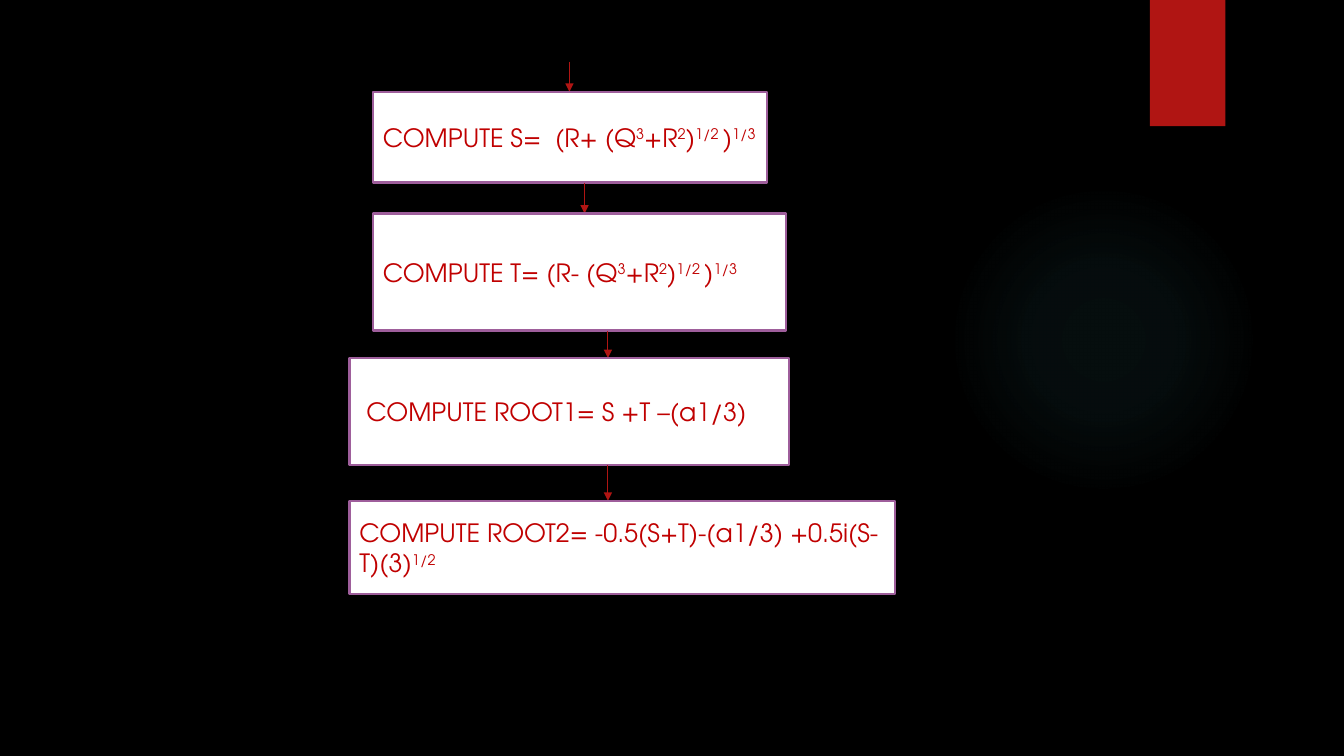
"""Build a flowchart slide with the steps that compute the roots of a cubic."""
import dataclasses

import pptx
import pptx.dml.color
import pptx.enum.shapes
import pptx.enum.text
import pptx.oxml
import pptx.oxml.ns
import pptx.util

Cm = pptx.util.Cm
Pt = pptx.util.Pt
RGB = pptx.dml.color.RGBColor.from_string
SHAPE = pptx.enum.shapes.MSO_SHAPE


@dataclasses.dataclass(frozen=True)
class Theme:
    background: str = "000000"
    glow: str = "50B9C1"
    accent: str = "B01513"
    box: str = "FFFFFF"
    border: str = "9E5E9B"
    text: str = "C00000"
    font: str = "TeX Gyre Adventor"
    size: int = 18
    superscript: int = 30000


theme = Theme()


def write(tf, text, *, font=theme.font, size=theme.size, color=theme.text):
    """Write one left-aligned paragraph; text between carets is superscript."""
    tf.word_wrap = True
    tf.vertical_anchor = pptx.enum.text.MSO_ANCHOR.MIDDLE
    p = tf.paragraphs[0]
    p.alignment = pptx.enum.text.PP_ALIGN.LEFT
    for i, part in enumerate(text.split("^")):
        if not part:
            continue
        r = p.add_run()
        r.text = part
        r.font.name = font
        r.font.size = Pt(size)
        r.font.color.rgb = RGB(color)
        if i % 2:
            r.font._element.set("baseline", str(theme.superscript))


def add_block(s, kind, left, top, width, height, fill=None, line=None):
    """Add a shape without shadow, with an optional fill and outline."""
    sp = s.shapes.add_shape(kind, Cm(left), Cm(top), Cm(width), Cm(height))
    sp.shadow.inherit = False
    if fill:
        sp.fill.solid()
        sp.fill.fore_color.rgb = RGB(fill)
    if line:
        sp.line.color.rgb = RGB(line)
        sp.line.width = Pt(1.5)
    else:
        sp.line.fill.background()
    return sp


prs = pptx.Presentation()
prs.slide_width = Cm(33.87)
prs.slide_height = Cm(19.05)
s = prs.slides.add_slide(prs.slide_layouts[6])
s.background.fill.solid()
s.background.fill.fore_color.rgb = RGB(theme.background)

glow = add_block(s, SHAPE.OVAL, 23.9, 4.65, 7.82, 7.82)
stops = "".join(
    f'<a:gs pos="{pos * 1000}"><a:srgbClr val="{theme.glow}">'
    f'<a:alpha val="{alpha * 1000}"/></a:srgbClr></a:gs>'
    for pos, alpha in [(0, 7), (36, 6), (69, 0), (100, 0)]
)
gradient = pptx.oxml.parse_xml(
    f'<a:gradFill {pptx.oxml.ns.nsdecls("a")} rotWithShape="1"><a:gsLst>{stops}</a:gsLst>'
    '<a:path path="circle"><a:fillToRect l="50000" t="50000" r="50000" b="50000"/></a:path>'
    "</a:gradFill>"
)
glow._element.spPr.insert(2, gradient)

add_block(s, SHAPE.RECTANGLE, 28.98, 0, 1.9, 3.18, fill=theme.accent)

steps = [
    (9.4, 2.31, 9.93, 2.29, 14.35, "COMPUTE S=  (R+ (Q^3^+R^2^)^1/2 ^)^1/3"),
    (9.4, 5.38, 10.41, 2.95, 14.73, "COMPUTE T= (R- (Q^3^+R^2^)^1/2 ^)^1/3"),
    (8.81, 9.02, 11.07, 2.69, 15.32, " COMPUTE ROOT1= S +T –(a1/3)"),
    (8.81, 12.62, 13.74, 2.36, 15.32,
     "COMPUTE ROOT2= -0.5(S+T)-(a1/3) +0.5i(S-T)(3)^1/2"),
]
arrow_start = 1.55
for left, top, width, height, arrow_x, text in steps:
    arrow = s.shapes.add_connector(
        pptx.enum.shapes.MSO_CONNECTOR.STRAIGHT,
        Cm(arrow_x), Cm(arrow_start), Cm(arrow_x), Cm(top),
    )
    arrow.line.color.rgb = RGB(theme.accent)
    arrow.line.width = Pt(0.75)
    ln = arrow.line._get_or_add_ln()
    ln.append(pptx.oxml.parse_xml(f'<a:tailEnd {pptx.oxml.ns.nsdecls("a")} type="triangle"/>'))
    arrow._element.spPr.append(
        pptx.oxml.parse_xml(f'<a:effectLst {pptx.oxml.ns.nsdecls("a")}/>')
    )
    box = add_block(s, SHAPE.RECTANGLE, left, top, width, height, theme.box, theme.border)
    write(box.text_frame, text)
    arrow_start = top + height

prs.save("out.pptx")
